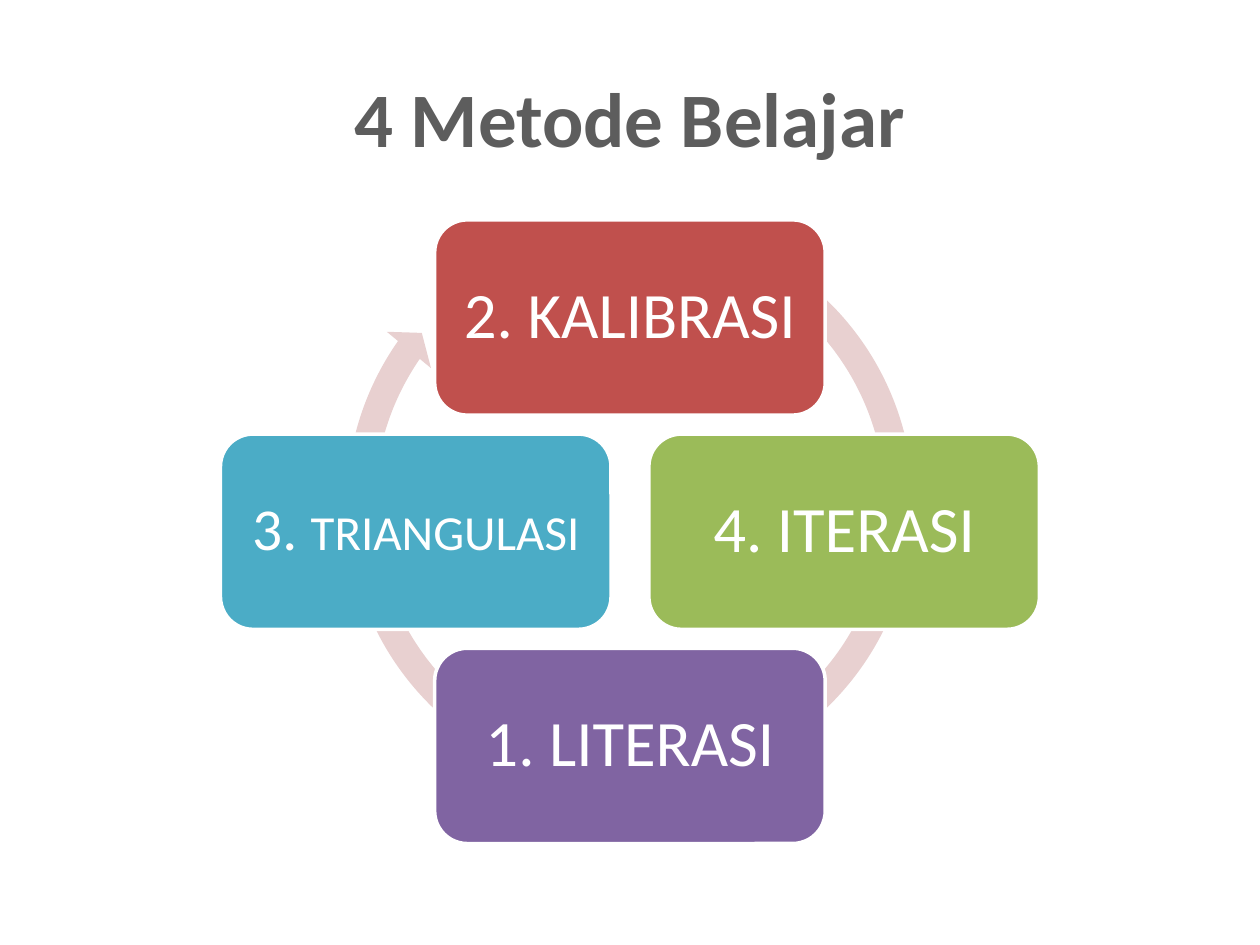
from dataclasses import dataclass

from pptx import Presentation
from pptx.dml.color import RGBColor as RGB
from pptx.enum.shapes import MSO_SHAPE as SHAPE
from pptx.enum.text import MSO_ANCHOR as ANCHOR, PP_ALIGN as ALIGN
from pptx.util import Inches, Pt


@dataclass(frozen=True)
class Theme:
    font: str = "Calibri"
    title: str = "5D5D5D"
    ring: str = "E8D0D0"
    white: str = "FFFFFF"
    red: str = "C0504D"
    green: str = "9BBB59"
    purple: str = "8064A2"
    teal: str = "4BACC6"
    title_size: int = 44
    large: int = 37
    medium: int = 34
    small: int = 28


T = Theme()
prs = Presentation()
prs.slide_width, prs.slide_height = Inches(10), Inches(7.5)
s = prs.slides.add_slide(prs.slide_layouts[6])


def add_filled(shape, cx, cy, w, h, color):
    """Add a shape centred on (cx, cy), in inches."""
    sp = s.shapes.add_shape(shape, Inches(cx - w / 2), Inches(cy - h / 2),
                            Inches(w), Inches(h))
    sp.shadow.inherit = False
    sp.fill.solid()
    sp.fill.fore_color.rgb = RGB.from_string(color)
    return sp


def add_line(tf, runs, color, bold=False):
    """Write one centred line from (text, size) runs."""
    tf.word_wrap = True
    tf.vertical_anchor = ANCHOR.MIDDLE
    p = tf.paragraphs[0]
    p.alignment = ALIGN.CENTER
    p.font.name = T.font
    p.font.bold = bold
    p.font.color.rgb = RGB.from_string(color)
    for text, size in runs:
        r = p.add_run()
        r.text = text
        r.font.size = Pt(size)
    return p


# Title
title = s.shapes.add_textbox(Inches(0.5), Inches(0.3), Inches(9), Inches(1.25))
add_line(title.text_frame, [("4 Metode Belajar", T.title_size)], T.title, bold=True)

# Ring arrow behind the cards
ring = add_filled(SHAPE.CIRCULAR_ARROW, 5, 4, 4.73, 4.73, T.ring)
ring.line.fill.background()
for i, value in enumerate((0.047, 2.729, 128.918, 179.897, 0.048)):
    ring.adjustments[i] = value

# Cards, one grid step from the centre of the cycle
CENTER_X, CENTER_Y, STEP = 5, 4.22, 1.7
CARD_W, CARD_H = 3.1, 1.55
cards = [
    (0, -1, T.red, [("2. KALIBRASI", T.large)]),
    (1, 0, T.green, [("4. ITERASI", T.large)]),
    (0, 1, T.purple, [("1. LITERASI", T.large)]),
    (-1, 0, T.teal, [("3. ", T.medium), ("TRIANGULASI", T.small)]),
]
for col, row, color, runs in cards:
    card = add_filled(SHAPE.ROUNDED_RECTANGLE, CENTER_X + col * STEP,
                      CENTER_Y + row * STEP, CARD_W, CARD_H, color)
    card.line.color.rgb = RGB.from_string(T.white)
    card.line.width = Pt(2)
    tf = card.text_frame
    tf.margin_left = tf.margin_right = Inches(0.14)
    tf.margin_top = tf.margin_bottom = Inches(0.14)
    add_line(tf, runs, T.white).line_spacing = 0.9

prs.save("out.pptx")
